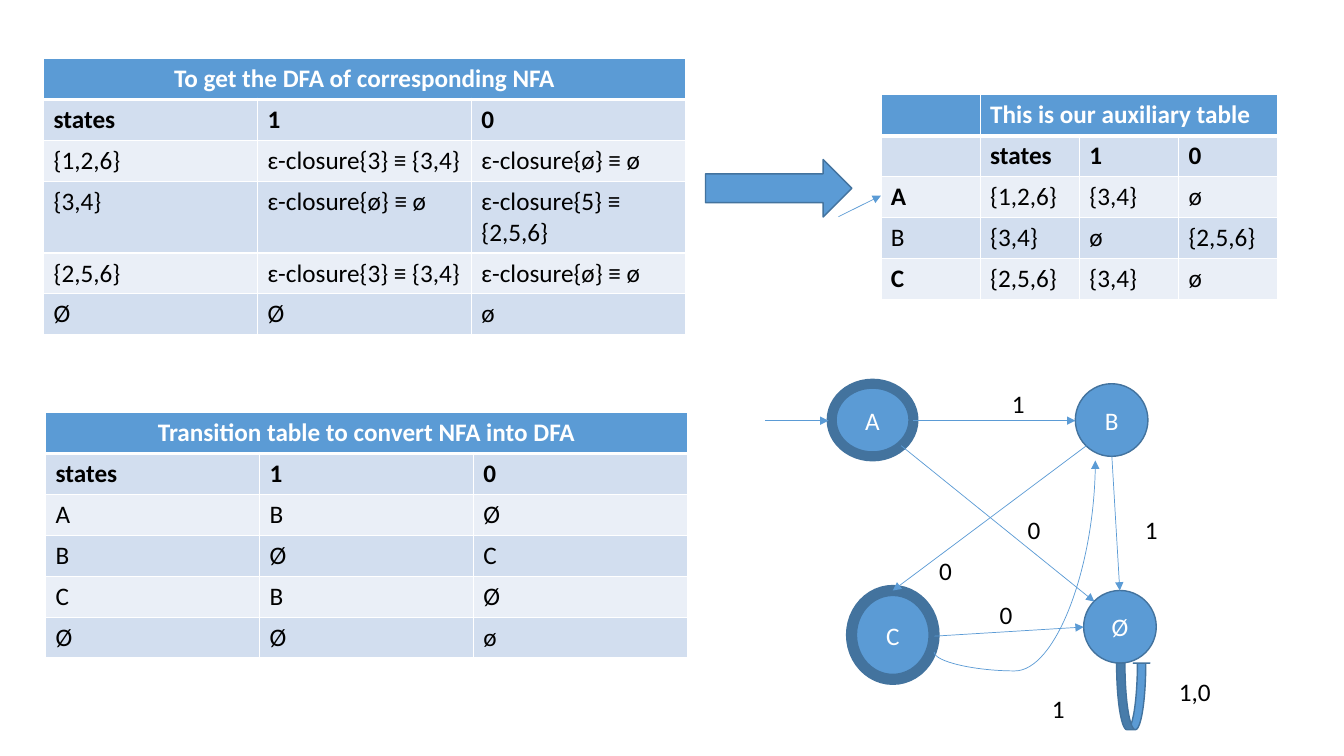
from typing import NamedTuple

from pptx import Presentation
from pptx.dml.color import RGBColor
from pptx.enum.shapes import MSO_CONNECTOR as Link, MSO_SHAPE as Kind
from pptx.enum.text import MSO_ANCHOR as Anchor, MSO_AUTO_SIZE as Fit, PP_ALIGN as Align
from pptx.oxml import parse_xml
from pptx.oxml.ns import nsdecls, qn
from pptx.util import Cm, Pt

BLUE = RGBColor(0x5B, 0x9B, 0xD5)
DARK = RGBColor(0x43, 0x73, 0x9E)
BAND = RGBColor(0xD2, 0xDE, 0xEF)
PALE = RGBColor(0xEA, 0xEF, 0xF7)
WHITE = RGBColor(0xFF, 0xFF, 0xFF)
BLACK = RGBColor(0, 0, 0)


class Grid(NamedTuple):
    x: float
    y: float
    col: float
    row: float
    title: str
    first: int  # column where the title starts
    align: Align
    rows: list[list[str]]
    bold: tuple[str, ...] = ()


class Node(NamedTuple):
    name: str
    x: float
    y: float
    w: float
    h: float
    edge: float


class Edge(NamedTuple):
    x1: float
    y1: float
    x2: float
    y2: float


class Label(NamedTuple):
    text: str
    x: float
    y: float
    w: float = 0.84


# Tables
HEAD = ["states", "1", "0"]
TO_34 = "ɛ-closure{3} ≡ {3,4}"
TO_256 = "ɛ-closure{5} ≡ {2,5,6}"
NONE = "ɛ-closure{ø} ≡ ø"
GRIDS = [
    Grid(1.1, 1.48, 5.39, 1.02, "To get the DFA of corresponding NFA", 0, Align.CENTER, [
        HEAD,
        ["{1,2,6}", TO_34, NONE],
        ["{3,4}", NONE, TO_256],
        ["{2,5,6}", TO_34, NONE],
        ["Ø", "Ø", "ø"],
    ]),
    Grid(22.2, 2.39, 2.5, 0.92, "This is our auxiliary table", 1, Align.LEFT, [
        ["", *HEAD],
        ["A", "{1,2,6}", "{3,4}", "ø"],
        ["B", "{3,4}", "ø", "{2,5,6}"],
        ["C", "{2,5,6}", "{3,4}", "ø"],
    ], ("A", "C")),
    Grid(1.15, 10.4, 5.39, 1.02, "Transition table to convert NFA into DFA", 0, Align.CENTER, [
        HEAD,
        ["A", "B", "Ø"],
        ["B", "Ø", "C"],
        ["C", "B", "Ø"],
        ["Ø", "Ø", "ø"],
    ]),
]

# State diagram
NODES = [
    Node("A", 20.96, 9.67, 2.06, 1.83, 7.25),
    Node("C", 21.46, 14.88, 2.08, 2.24, 8),
    Node("B", 27.1, 9.67, 1.83, 1.83, 1),
    Node("Ø", 27.31, 14.88, 1.83, 1.83, 1),
]
EDGES = [
    Edge(23.01, 10.6, 27.1, 10.6),
    Edge(22.71, 11.23, 27.58, 15.16),
    Edge(28.02, 11.5, 28.22, 14.88),
    Edge(27.38, 11.23, 22.5, 14.88),
    Edge(23.55, 16.03, 27.31, 15.8),
    Edge(19.28, 10.6, 20.88, 10.6),
    Edge(21.13, 5.46, 22.2, 4.93),
]
BEND = Edge(27.99, 16.05, 23.16, 11.99)
LABELS = [
    Label("1", 25.25, 9.67),
    Label("0", 25.65, 12.83),
    Label("1", 28.6, 12.83),
    Label("0", 23.42, 13.87),
    Label("1", 26.26, 17.35),
    Label("0", 24.94, 14.99),
    Label("1,0", 29.46, 16.92, 1.32),
]

deck = Presentation()
deck.slide_width, deck.slide_height = Cm(33.87), Cm(19.05)
slide = deck.slides.add_slide(deck.slide_layouts[6])
shapes = slide.shapes


def style(frame, color: RGBColor, bold: bool = False, align: Align = Align.LEFT) -> None:
    for para in frame.paragraphs:
        para.alignment = align
        for run in para.runs:
            font = run.font
            font.name, font.size, font.bold = "Calibri", Pt(18), bold
            font.color.rgb = color


def paint(cell, color: RGBColor, base: float) -> None:
    props = cell._tc.get_or_add_tcPr()
    for side in "LRTB":
        width = Pt(base if side == "B" else 1)
        props.append(parse_xml(
            f'<a:ln{side} {nsdecls("a")} w="{width}"><a:solidFill>'
            f'<a:srgbClr val="{WHITE}"/></a:solidFill></a:ln{side}>'))
    cell.fill.solid()
    cell.fill.fore_color.rgb = color


def draw_grid(grid: Grid) -> None:
    cols = len(grid.rows[0])
    lines = [[""] * cols, *grid.rows]
    table = shapes.add_table(len(lines), cols, Cm(grid.x), Cm(grid.y),
                             Cm(grid.col * cols), Cm(grid.row * len(lines))).table
    for col in table.columns:
        col.width = Cm(grid.col)
    for i, line in enumerate(lines):
        table.rows[i].height = Cm(grid.row)
        for j, text in enumerate(line):
            cell = table.cell(i, j)
            paint(cell, BLUE if i == 0 else BAND if i % 2 else PALE, 1 if i else 3)
            cell.text_frame.text = text
            style(cell.text_frame, BLACK, i == 1 or (j == 0 and text in grid.bold))
    title = table.cell(0, grid.first)
    title.merge(table.cell(0, cols - 1))
    title.text_frame.text = grid.title
    style(title.text_frame, WHITE, True, grid.align)


def draw_shape(kind: Kind, x: float, y: float, w: float, h: float, edge: float = 1):
    shape = shapes.add_shape(kind, Cm(x), Cm(y), Cm(w), Cm(h))
    shape.shadow.inherit = False
    shape.fill.solid()
    shape.fill.fore_color.rgb = BLUE
    shape.line.color.rgb, shape.line.width = DARK, Pt(edge)
    return shape


def draw_node(node: Node) -> None:
    frame = draw_shape(Kind.OVAL, *node[1:]).text_frame
    frame.text, frame.vertical_anchor = node.name, Anchor.MIDDLE
    style(frame, WHITE, align=Align.CENTER)


def draw_edge(edge: Edge, kind: Link = Link.STRAIGHT):
    link = shapes.add_connector(kind, *map(Cm, edge))
    link.line.color.rgb, link.line.width = BLUE, Pt(0.5)
    props = link.element.spPr
    props.find(qn("a:ln")).append(parse_xml(f'<a:tailEnd {nsdecls("a")} type="triangle"/>'))
    props.append(parse_xml(f'<a:effectLst {nsdecls("a")}/>'))
    return props


def draw_label(label: Label) -> None:
    box = shapes.add_textbox(Cm(label.x), Cm(label.y), Cm(label.w), Cm(1.02))
    frame = box.text_frame
    frame.text, frame.word_wrap, frame.auto_size = label.text, False, Fit.SHAPE_TO_FIT_TEXT
    style(frame, BLACK)


for grid in GRIDS:
    draw_grid(grid)
draw_shape(Kind.RIGHT_ARROW, 17.78, 4.02, 3.69, 1.45)
for node in NODES:
    draw_node(node)
for edge in EDGES:
    draw_edge(edge)

# Curve from C up to B, turned a quarter
props = draw_edge(BEND, Link.CURVE)
props.find(qn("a:xfrm")).set("rot", "5400000")
props.find(qn("a:prstGeom")).find(qn("a:avLst")).append(
    parse_xml(f'<a:gd {nsdecls("a")} name="adj1" fmla="val -9800"/>'))

# Loop on the empty state
loop = draw_shape(Kind.CURVED_UP_ARROW, 28.14, 16.71, 0.84, 1.68)
for i, value in enumerate((0.25, 0.5, 0)):
    loop.adjustments[i] = value

for label in LABELS:
    draw_label(label)

deck.save("out.pptx")
